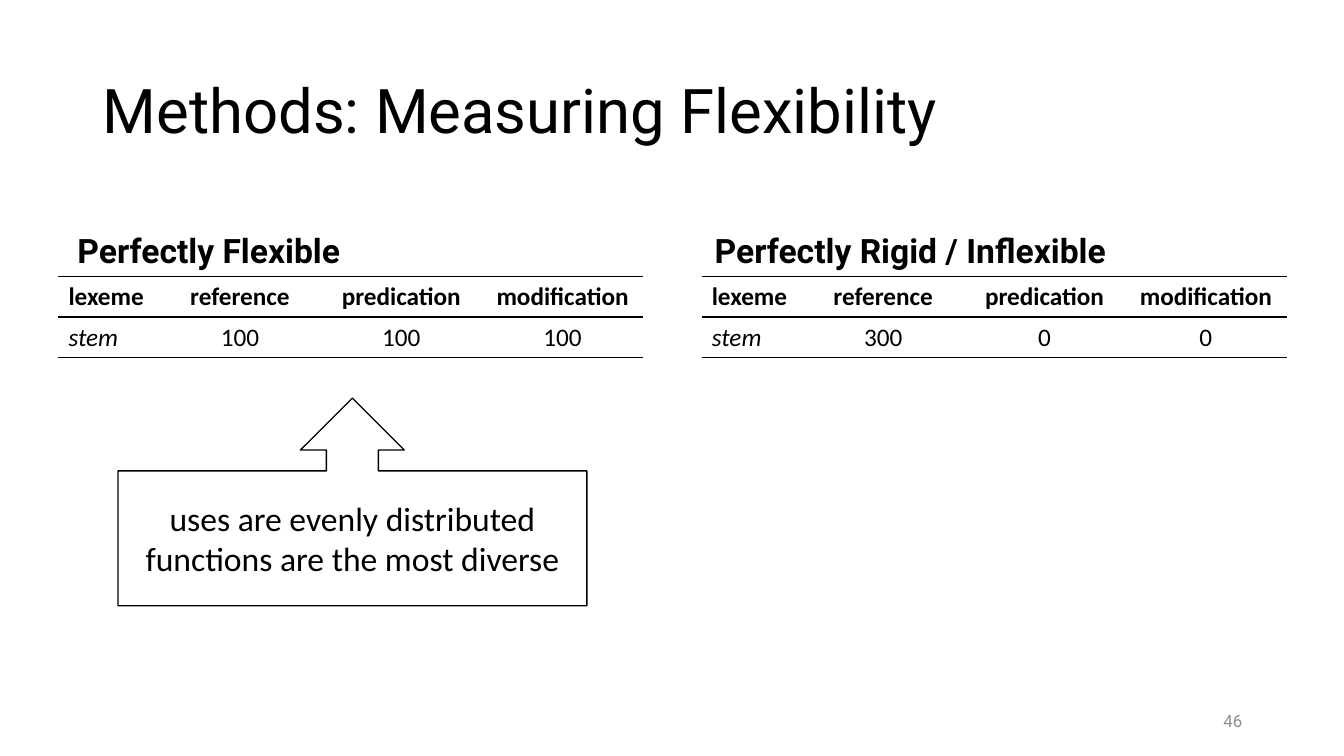
"""Build the slide comparing perfectly flexible and perfectly rigid lexemes."""
from dataclasses import dataclass

from lxml.etree import SubElement
from pptx import Presentation
from pptx.dml.color import RGBColor
from pptx.enum.shapes import MSO_SHAPE
from pptx.enum.text import MSO_ANCHOR, PP_ALIGN
from pptx.oxml.ns import qn
from pptx.util import Inches, Pt

TITLE = "Methods: Measuring Flexibility"
HEADER = ["lexeme", "reference", "predication", "modification"]
PANELS = [
    {"heading": "Perfectly Flexible", "heading_left": 0.67, "counts": ["stem", "100", "100", "100"]},
    {"heading": "Perfectly Rigid / Inflexible", "heading_left": 6.99, "counts": ["stem", "300", "0", "0"]},
]
CALLOUT = ["uses are evenly distributed", "functions are the most diverse"]
PAGE = "46"

SLIDE_W, SLIDE_H = 13.33, 7.5
TABLE_LEFT, TABLE_TOP, TABLE_PITCH = 0.58, 2.74, 6.38
COLUMN_WIDTHS = [1, 1.6, 1.6, 1.6]
ROW_H = 0.405
HEADING_W, HEADING_H = 5.65, 0.9
NO_STYLE = "{2D5ABB26-0587-4C30-8999-92F81FD0307C}"


@dataclass(frozen=True)
class Theme:
    ink: RGBColor = RGBColor(0, 0, 0)
    paper: RGBColor = RGBColor(255, 255, 255)
    muted: RGBColor = RGBColor(0x8C, 0x8C, 0x8C)
    display: str = "Roboto"
    body: str = "Calibri"
    title: int = 44
    large: int = 24
    table: int = 18
    small: int = 12
    rule: int = 1


THEME = Theme()


def box(left, top, width, height):
    return [Inches(v) for v in (left, top, width, height)]


def write(tf, lines, font, size, color=THEME.ink, align=PP_ALIGN.LEFT,
          anchor=MSO_ANCHOR.MIDDLE, bold=False, italic=False, spacing=None):
    tf.word_wrap = True
    tf.vertical_anchor = anchor
    for i, line in enumerate(lines):
        p = tf.add_paragraph() if i else tf.paragraphs[0]
        p.alignment = align
        p.line_spacing = spacing
        r = p.add_run()
        r.text = line
        r.font.name, r.font.size = font, Pt(size)
        r.font.bold, r.font.italic = bold, italic
        r.font.color.rgb = color


def rule_cell(cell):
    cell.fill.background()
    tc_pr = cell._tc.get_or_add_tcPr()
    for i, side in enumerate(("a:lnT", "a:lnB")):
        ln = SubElement(tc_pr, qn(side), w=str(Pt(THEME.rule)))
        fill = SubElement(ln, qn("a:solidFill"))
        SubElement(fill, qn("a:srgbClr"), val=str(THEME.ink))
        tc_pr.insert(i, ln)


def add_panel(s, index, panel):
    tb = s.shapes.add_textbox(*box(panel["heading_left"], TABLE_TOP - HEADING_H, HEADING_W, HEADING_H))
    write(tb.text_frame, [panel["heading"]], THEME.display, THEME.large,
          anchor=MSO_ANCHOR.BOTTOM, bold=True, spacing=0.9)

    rows = [HEADER, panel["counts"]]
    frame = s.shapes.add_table(len(rows), len(HEADER), *box(
        TABLE_LEFT + index * TABLE_PITCH, TABLE_TOP, sum(COLUMN_WIDTHS), ROW_H * len(rows)))
    table = frame.table
    table._tbl.tblPr.find(qn("a:tableStyleId")).text = NO_STYLE
    table.horz_banding = False
    for column, width in zip(table.columns, COLUMN_WIDTHS):
        column.width = Inches(width)
    for i, row in enumerate(rows):
        table.rows[i].height = Inches(ROW_H)
        for j, text in enumerate(row):
            cell = table.cell(i, j)
            write(cell.text_frame, [text], THEME.body, THEME.table,
                  align=PP_ALIGN.CENTER if j else PP_ALIGN.LEFT,
                  bold=i == 0, italic=i > 0 and j == 0)
            cell.vertical_anchor = MSO_ANCHOR.MIDDLE
            rule_cell(cell)


def add_callout(s):
    sp = s.shapes.add_shape(MSO_SHAPE.UP_ARROW_CALLOUT, *box(1.17, 3.95, 4.65, 2.06))
    sp.shadow.inherit = False
    sp.fill.solid()
    sp.fill.fore_color.rgb = THEME.paper
    sp.line.color.rgb = THEME.ink
    sp.line.width = Pt(THEME.rule)
    write(sp.text_frame, CALLOUT, THEME.body, THEME.large, align=PP_ALIGN.CENTER)


def main():
    prs = Presentation()
    prs.slide_width, prs.slide_height = Inches(SLIDE_W), Inches(SLIDE_H)
    s = prs.slides.add_slide(prs.slide_layouts[5])
    title = s.shapes.title
    title.left, title.top, title.width, title.height = box(0.92, 0.4, 11.5, 1.45)
    write(title.text_frame, [TITLE], THEME.display, THEME.title, spacing=0.9)
    for index, panel in enumerate(PANELS):
        add_panel(s, index, panel)
    add_callout(s)
    number = s.shapes.add_textbox(*box(9.42, 6.95, 3, 0.4))
    write(number.text_frame, [PAGE], THEME.display, THEME.small, THEME.muted, PP_ALIGN.RIGHT)
    prs.save("out.pptx")


if __name__ == "__main__":
    main()
